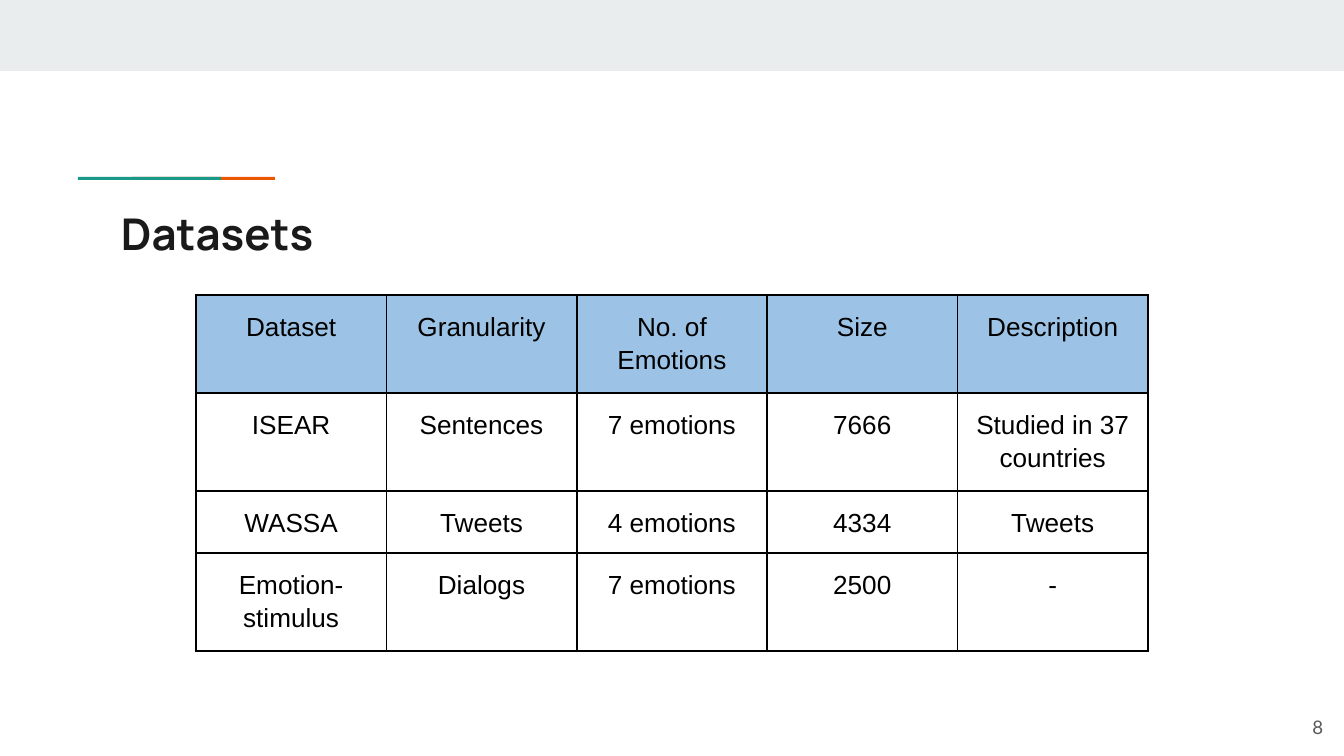
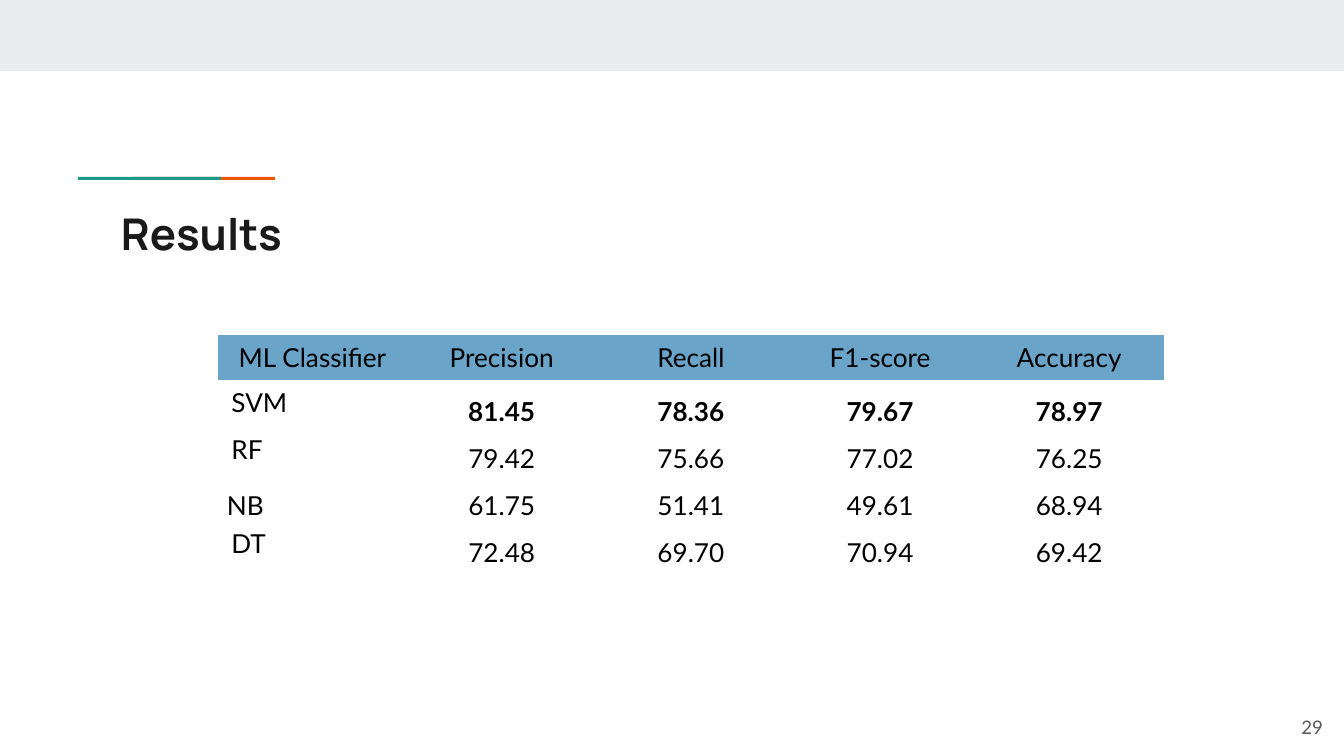
from lxml import etree
from pptx import Presentation
from pptx import util as u
from pptx.dml.color import RGBColor
from pptx.enum import shapes, text
from pptx.oxml import ns

color = RGBColor.from_string
BLACK = "000000"
BAND, ORANGE, TEAL = "E9EDEE", "EB5600", "1A9988"
TITLE_COLOR, NUMBER_COLOR = "1A1A1A", "595959"
LEFT, CENTER, RIGHT = text.PP_ALIGN.LEFT, text.PP_ALIGN.CENTER, text.PP_ALIGN.RIGHT


def px(pixels):
    return u.Emu(round(pixels * 914400 / 134.4))


def write(frame, wording, font, size, hex_color, bold=False, align=LEFT):
    """Put one formatted paragraph in a text frame and return it."""
    frame.word_wrap = True
    paragraph = frame.paragraphs[0]
    paragraph.text = wording
    paragraph.alignment = align
    run_font = paragraph.runs[0].font
    run_font.name, run_font.size = font, u.Pt(size)
    run_font.bold, run_font.color.rgb = bold, color(hex_color)
    return paragraph


decorations = [
    (0, 0, 1344, 71, BAND),
    (132, 177, 143, 3, ORANGE),
    (78, 177, 143, 3, TEAL),
]

datasets = [
    ["Dataset", "Granularity", "No. of Emotions", "Size", "Description"],
    ["ISEAR", "Sentences", "7 emotions", "7666", "Studied in 37 countries"],
    ["WASSA", "Tweets", "4 emotions", "4334", "Tweets"],
    ["Emotion-stimulus", "Dialogs", "7 emotions", "2500", "-"],
]
results = [
    ["ML Classifier", "Precision", "Recall", "F1-score", "Accuracy"],
    ["SVM", "81.45", "78.36", "79.67", "78.97"],
    ["RF", "79.42", "75.66", "77.02", "76.25"],
    ["NB", "61.75", "51.41", "49.61", "68.94"],
    ["DT", "72.48", "69.70", "70.94", "69.42"],
]

# title, number, rows, left, top, width, row heights, header fill, font, bordered
pages = [
    ("Datasets", "8", datasets, 196, 295, 952, [94, 95, 60, 94], "9CC2E5", "Arial", True),
    ("Results", "29", results, 218, 335, 946, [45] + [47] * 4, "6AA4C8", "Lato", False),
]

presentation = Presentation()
presentation.slide_width, presentation.slide_height = px(1344), px(756)

for title, number, rows, left, top, width, heights, header_fill, font, bordered in pages:
    slide = presentation.slides.add_slide(presentation.slide_layouts[6])

    for x, y, w, h, fill in decorations:
        shape = slide.shapes.add_shape(
            shapes.MSO_SHAPE.RECTANGLE, px(x), px(y), px(w), px(h))
        shape.shadow.inherit = False
        shape.fill.solid()
        shape.fill.fore_color.rgb = color(fill)
        shape.line.fill.background()

    title_box = slide.shapes.add_textbox(px(108), px(194), px(1130), px(79))
    number_box = slide.shapes.add_textbox(px(1255), px(698), px(81), px(58))
    for box in (title_box, number_box):
        frame = box.text_frame
        frame.margin_left = frame.margin_right = px(13)
        frame.margin_top = frame.margin_bottom = px(13)
    write(title_box.text_frame, title, "Manrope", 23.4, TITLE_COLOR, bold=True)
    write(number_box.text_frame, number, "Lato", 10, NUMBER_COLOR, align=RIGHT)
    number_box.text_frame.vertical_anchor = text.MSO_ANCHOR.MIDDLE

    table = slide.shapes.add_table(
        len(rows), len(rows[0]), px(left), px(top), px(width), px(sum(heights))).table
    table.first_row = table.horz_banding = False
    for column in table.columns:
        column.width = px(width / len(rows[0]))

    for r, row in enumerate(rows):
        table.rows[r].height = px(heights[r])
        for c, wording in enumerate(row):
            cell = table.cell(r, c)
            properties = cell._tc.get_or_add_tcPr()
            for side in ("a:lnL", "a:lnR", "a:lnT", "a:lnB"):
                line = etree.SubElement(properties, ns.qn(side), w=str(u.Pt(1)))
                if bordered:
                    solid = etree.SubElement(line, ns.qn("a:solidFill"))
                    etree.SubElement(solid, ns.qn("a:srgbClr"), val=BLACK)
                else:
                    etree.SubElement(line, ns.qn("a:noFill"))

            if r == 0:
                cell.fill.solid()
                cell.fill.fore_color.rgb = color(header_fill)
            else:
                cell.fill.background()

            is_score = not bordered and r > 0 and (c > 0 or wording == "NB")
            is_label = not bordered and r > 0 and c == 0
            paragraph = write(
                cell.text_frame, wording, font, 14, BLACK,
                bold=is_score and row[0] == "SVM",
                align=LEFT if is_label else CENTER)
            if bordered or is_score:
                cell.margin_left = cell.margin_right = px(9)
                cell.margin_top = cell.margin_bottom = px(13 if bordered else 0)
                paragraph.line_spacing = 1.15 if bordered else 1.5
            if is_score:
                paragraph.space_after = u.Pt(8)

presentation.save("out.pptx")
